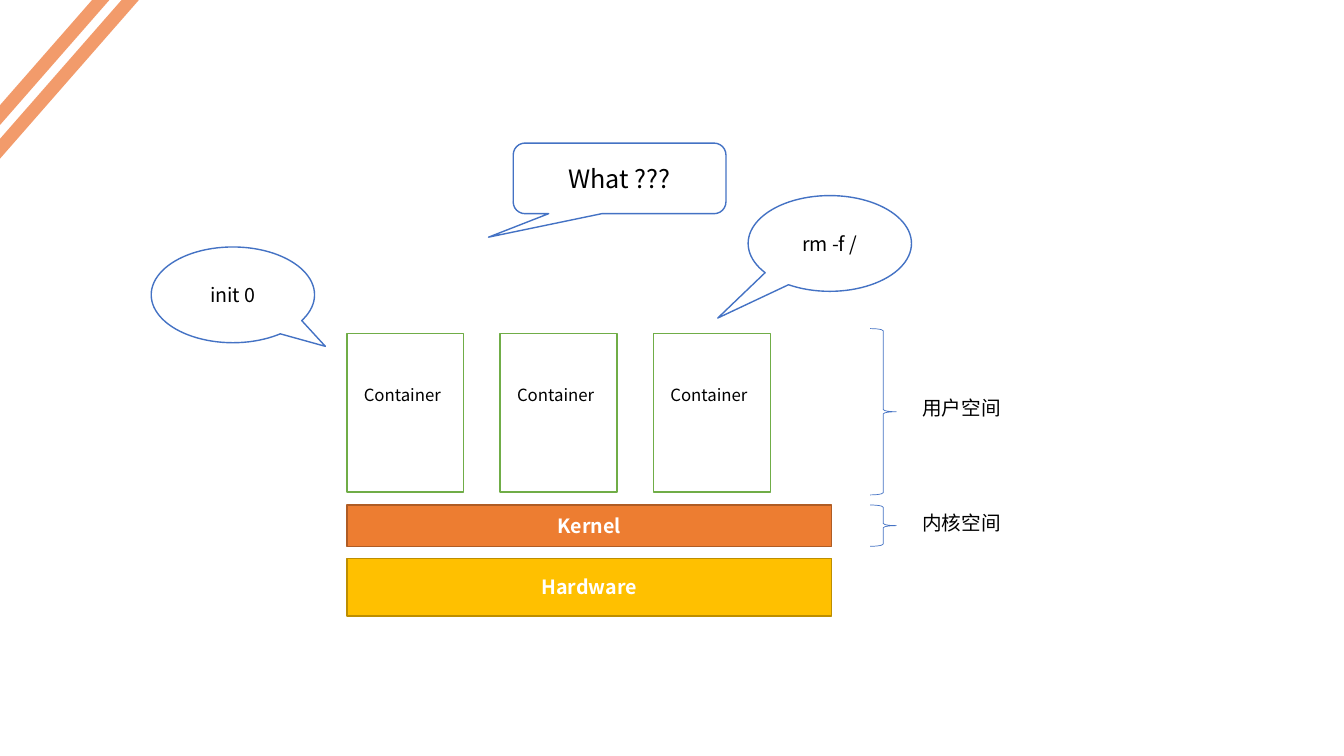
from lxml import etree
from pptx import Presentation
from pptx.dml.color import RGBColor
from pptx.enum.shapes import MSO_SHAPE as Preset
from pptx.enum.text import MSO_ANCHOR as Anchor, PP_ALIGN as Align
from pptx.oxml.ns import qn
from pptx.util import Inches, Pt

FONT = "Noto Sans CJK SC"
WHITE = RGBColor(0xFF, 0xFF, 0xFF)
BLACK = RGBColor(0x00, 0x00, 0x00)
STRIPE = RGBColor(0xED, 0x6A, 0x23)
YELLOW = RGBColor(0xFF, 0xC0, 0x00)
DARK_YELLOW = RGBColor(0xBD, 0x8E, 0x00)
ORANGE = RGBColor(0xED, 0x7D, 0x31)
DARK_ORANGE = RGBColor(0xAF, 0x5C, 0x24)
GREEN = RGBColor(0x70, 0xAD, 0x47)
BLUE = RGBColor(0x44, 0x72, 0xC4)

presentation = Presentation()
presentation.slide_width = Inches(13.33)
presentation.slide_height = Inches(7.5)
slide = presentation.slides.add_slide(presentation.slide_layouts[6])


def add_shape(preset, box, fill=None, line=None, line_width=1):
    shape = slide.shapes.add_shape(preset, *[Inches(length) for length in box])
    shape.shadow.inherit = False
    if fill is None:
        shape.fill.background()
    else:
        shape.fill.solid()
        shape.fill.fore_color.rgb = fill
    if line is None:
        shape.line.fill.background()
    else:
        shape.line.color.rgb = line
        shape.line.width = Pt(line_width)
    return shape


def add_text(shape, text, size, color=BLACK, bold=False, align=Align.CENTER, anchor=Anchor.MIDDLE):
    frame = shape.text_frame
    frame.word_wrap = True
    frame.vertical_anchor = anchor
    paragraph = frame.paragraphs[0]
    paragraph.alignment = align
    run = paragraph.add_run()
    run.text = text
    run.font.size = Pt(size)
    run.font.bold = bold
    run.font.color.rgb = color
    run.font.name = FONT
    east_asian = etree.SubElement(run.font._element, qn("a:ea"))
    east_asian.set("typeface", FONT)


# Translucent corner stripes
for left, top in [(-0.52, 0.68), (-0.69, 0.54)]:
    stripe = add_shape(Preset.RECTANGLE, (left, top, 2.32, 0.13), STRIPE)
    stripe.rotation = 311.2
    color = stripe.fill._xPr.find(".//" + qn("a:srgbClr"))
    etree.SubElement(color, qn("a:alpha")).set("val", "67000")

# Hardware and kernel layers
for name, top, height, fill, line in [
    ("Hardware", 5.54, 0.57, YELLOW, DARK_YELLOW),
    ("Kernel", 5.01, 0.41, ORANGE, DARK_ORANGE),
]:
    layer = add_shape(Preset.RECTANGLE, (3.44, top, 4.81, height), fill, line)
    add_text(layer, name, 14, WHITE, bold=True)

# Containers
labels = []
for column in range(3):
    left = 3.44 + 1.52 * column
    add_shape(Preset.RECTANGLE, (left, 3.31, 1.16, 1.57), WHITE, GREEN)
    labels.append(("Container", 12, left + 0.07, 3.77, 1.03, 0.3))

# Braces for user space and kernel space
for name, top, height, label_top in [
    ("用户空间", 3.26, 1.65, 3.88),
    ("内核空间", 5.01, 0.41, 5.02),
]:
    add_shape(Preset.RIGHT_BRACE, (8.63, top, 0.26, height), line=BLUE, line_width=0.5)
    labels.append((name, 14, 9.05, label_top, 1.23, 0.34))

# Labels of the containers and braces
for text, size, *box in labels:
    label = slide.shapes.add_textbox(*[Inches(length) for length in box])
    add_text(label, text, size, align=Align.LEFT, anchor=Anchor.TOP)

# Speech bubbles
for preset, box, adjustments, text, size in [
    (Preset.OVAL_CALLOUT, (1.5, 2.45, 1.62, 0.95), (0.566, 0.538), "init 0", 14),
    (Preset.OVAL_CALLOUT, (7.42, 1.94, 1.62, 0.95), (-0.686, 0.779), "rm -f /", 14),
    (Preset.ROUNDED_RECTANGULAR_CALLOUT, (5.09, 1.42, 2.11, 0.7), (-0.616, 0.833, 0.167), "What ???", 18),
]:
    bubble = add_shape(preset, box, WHITE, BLUE)
    for index, value in enumerate(adjustments):
        bubble.adjustments[index] = value
    add_text(bubble, text, size)

presentation.save("out.pptx")
